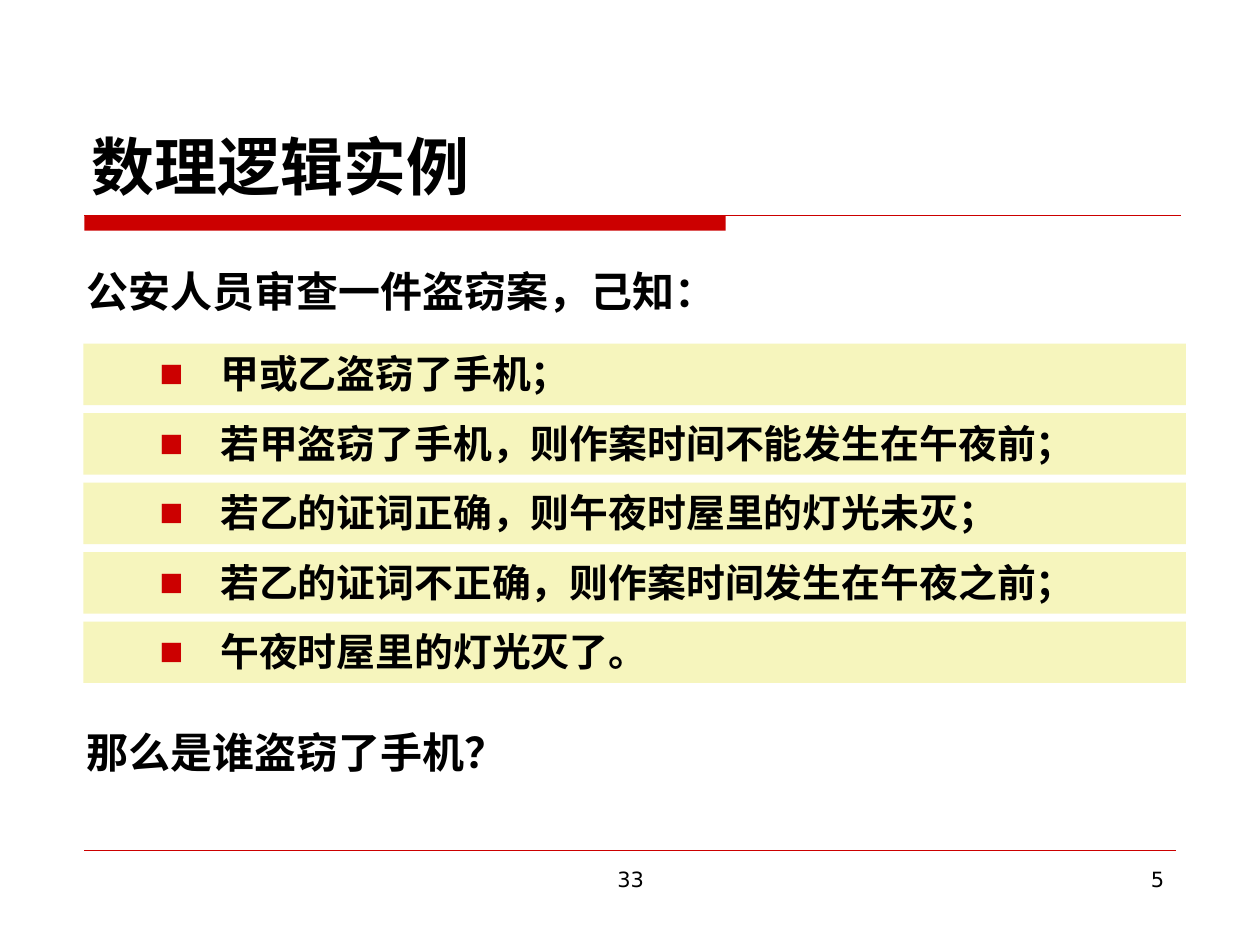
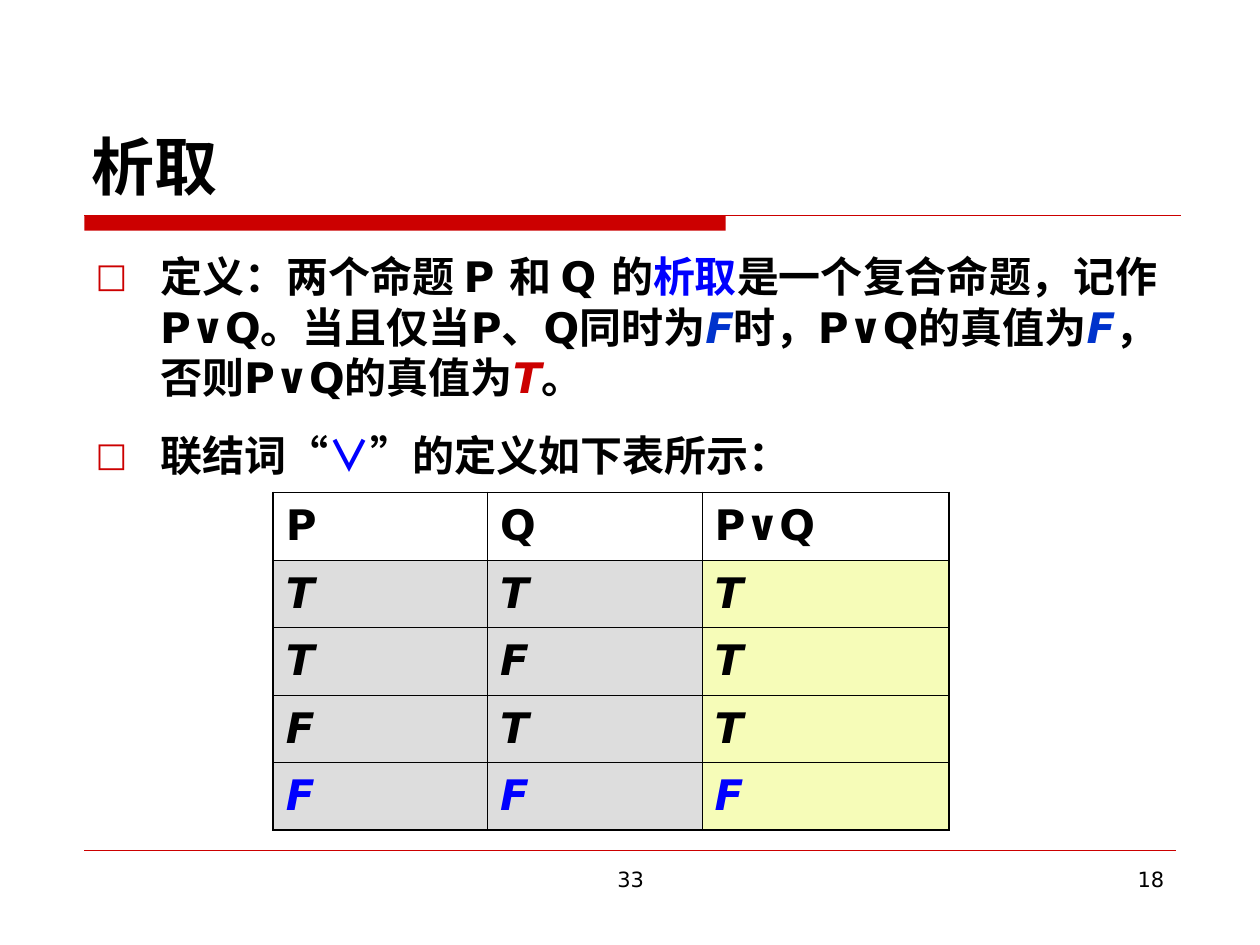
from lxml.etree import SubElement
from pptx import Presentation
from pptx.dml.color import RGBColor
from pptx.enum.shapes import MSO_CONNECTOR, MSO_SHAPE
from pptx.enum.text import MSO_ANCHOR, PP_ALIGN
from pptx.oxml.ns import qn
from pptx.util import Cm, Pt

RED, BLACK, BLUE, NAVY = "CC0000", "000000", "0000FF", "0033CC"
CREAM, LEMON, GREY = "F6F5BD", "F6FCB8", "DDDDDD"
LATIN, HAN = "DejaVu Sans", "Noto Sans CJK SC"
LEFT, WIDE = 1.68, 22.23


def color(code):
    return RGBColor.from_string(code)


def style(para, size, bold=True, code=BLACK, slant=False):
    font = para.font
    font.size, font.bold, font.italic = Pt(size), bold, slant
    font.name = LATIN
    font.color.rgb = color(code)
    props = para._p.pPr.find(qn("a:defRPr"))
    props.set("lang", "zh-CN")
    SubElement(props, qn("a:ea"), typeface=HAN)


def bullet(para, mark, scale, left, hang):
    props = para._p.get_or_add_pPr()
    props.set("marL", str(Cm(left)))
    props.set("indent", str(-Cm(hang)))
    tint = SubElement(props, qn("a:buClr"))
    SubElement(tint, qn("a:srgbClr"), val=RED)
    SubElement(props, qn("a:buSzPct"), val=str(scale * 1000))
    SubElement(props, qn("a:buFont"), typeface=LATIN)
    SubElement(props, qn("a:buChar"), char=mark)


def add_text(slide, words, x, y, w, h, size, bold=True,
             align=PP_ALIGN.LEFT, anchor=MSO_ANCHOR.TOP):
    frame = slide.shapes.add_textbox(Cm(x), Cm(y), Cm(w), Cm(h)).text_frame
    frame.word_wrap = True
    frame.vertical_anchor = anchor
    para = frame.paragraphs[0]
    para.text = words
    para.alignment = align
    style(para, size, bold)


def add_point(slide, y, w, h, runs):
    frame = slide.shapes.add_textbox(Cm(LEFT), Cm(y), Cm(w), Cm(h)).text_frame
    frame.word_wrap = True
    para = frame.paragraphs[0]
    para.line_spacing = Pt(28.8)
    bullet(para, "□", 80, 1.3, 1.3)
    style(para, 24)
    for words, code, slant, face in runs:
        run = para.add_run()
        run.text = words
        run.font.color.rgb = color(code)
        run.font.italic = slant
        run.font.name = face


def add_rect(slide, x, y, w, h, code):
    rect = slide.shapes.add_shape(MSO_SHAPE.RECTANGLE, Cm(x), Cm(y), Cm(w), Cm(h))
    rect.shadow.inherit = False
    rect.fill.solid()
    rect.fill.fore_color.rgb = color(code)
    rect.line.fill.background()
    return rect


def add_fact(slide, y, words):
    frame = add_rect(slide, LEFT, y, WIDE, 1.24, CREAM).text_frame
    frame.word_wrap = True
    frame.vertical_anchor = MSO_ANCHOR.TOP
    para = frame.paragraphs[0]
    para.text = words
    para.alignment = PP_ALIGN.LEFT
    bullet(para, "■", 65, 2.51, 1.22)
    style(para, 22.2)


def add_rule(slide, y, end, width):
    rule = slide.shapes.add_connector(
        MSO_CONNECTOR.STRAIGHT, Cm(1.7), Cm(y), Cm(end), Cm(y))
    rule.line.color.rgb = color(RED)
    rule.line.width = Pt(width)
    SubElement(rule._element.spPr, qn("a:effectLst"))


def border(cell, side, width):
    line = SubElement(cell._tc.get_or_add_tcPr(), qn("a:" + side), w=str(Pt(width)))
    fill = SubElement(line, qn("a:solidFill"))
    SubElement(fill, qn("a:srgbClr"), val=BLACK)


def add_truth(slide, rows):
    cols = [4.32, 4.32, 4.98]
    high, last = 1.36, len(rows) - 1
    table = slide.shapes.add_table(
        len(rows), len(cols), Cm(5.51), Cm(9.93),
        Cm(sum(cols)), Cm(high * len(rows))).table
    table.first_row = table.horz_banding = False
    for col, width in zip(table.columns, cols):
        col.width = Cm(width)
    for r, row in enumerate(rows):
        table.rows[r].height = Cm(high)
        for c, words in enumerate(row):
            cell = table.cell(r, c)
            edges = {"lnL": c == 0, "lnR": c == 2, "lnT": r == 0, "lnB": r == last}
            for side, outer in edges.items():
                border(cell, side, 1.08 if outer else 0.45)
            if r:
                cell.fill.solid()
                cell.fill.fore_color.rgb = color(LEMON if c == 2 else GREY)
            else:
                cell.fill.background()
            cell.vertical_anchor = MSO_ANCHOR.MIDDLE
            para = cell.text_frame.paragraphs[0]
            para.text = words
            style(para, 24, code=BLUE if r == last else BLACK, slant=r > 0)


def add_page(deck, title, number):
    slide = deck.slides.add_slide(deck.slide_layouts[6])
    add_rect(slide, 1.7, 4.34, 12.93, 0.31, RED)
    add_rule(slide, 4.34, 23.8, 0.75)
    add_rule(slide, 17.15, 23.7, 0.25)
    add_text(slide, "33", 8.69, 17.35, 8.05, 1.32, 12, False, PP_ALIGN.CENTER)
    add_text(slide, number, 18.21, 17.35, 5.51, 1.32, 12, False, PP_ALIGN.RIGHT)
    add_text(slide, title, 1.6, 0.84, WIDE, 3.39, 36, anchor=MSO_ANCHOR.BOTTOM)
    return slide


def add_case(deck):
    slide = add_page(deck, "数理逻辑实例", "5")
    add_text(slide, "公安人员审查一件盗窃案，己知：", 1.49, 5.23, 23.01, 1.27, 24)
    facts = [
        "甲或乙盗窃了手机；",
        "若甲盗窃了手机，则作案时间不能发生在午夜前；",
        "若乙的证词正确，则午夜时屋里的灯光未灭；",
        "若乙的证词不正确，则作案时间发生在午夜之前；",
        "午夜时屋里的灯光灭了。",
    ]
    for i, fact in enumerate(facts):
        add_fact(slide, 6.93 + 1.4 * i, fact)
    add_text(slide, "那么是谁盗窃了手机？", 1.49, 14.53, 23.01, 1.27, 24)


def add_or(deck):
    slide = add_page(deck, "析取", "18")
    add_point(slide, 4.93, 22.63, 3.4, [
        ("定义：", BLACK, False, HAN),
        ("两个命题 P 和 Q 的", BLACK, False, LATIN),
        ("析取", BLUE, False, LATIN),
        ("是一个复合命题，记作P∨Q。当且仅当P、Q同时为", BLACK, False, LATIN),
        ("F", NAVY, True, LATIN),
        ("时，P∨Q的真值为", BLACK, False, LATIN),
        ("F", NAVY, True, LATIN),
        ("，否则P∨Q的真值为", BLACK, False, LATIN),
        ("T", RED, True, LATIN),
        ("。", BLACK, False, LATIN),
    ])
    add_point(slide, 8.53, WIDE, 1.19, [
        ("联结词", BLACK, False, LATIN),
        ("“", BLACK, False, "Arial"),
        ("∨", BLUE, False, LATIN),
        ("”", BLACK, False, "Arial"),
        ("的定义如下表所示：", BLACK, False, LATIN),
    ])
    add_truth(slide, [("P", "Q", "P∨Q"), "TTT", "TFT", "FTT", "FFF"])


def main():
    deck = Presentation()
    deck.slide_width, deck.slide_height = Cm(25.4), Cm(19.05)
    add_case(deck)
    add_or(deck)
    deck.save("out.pptx")


if __name__ == "__main__":
    main()
